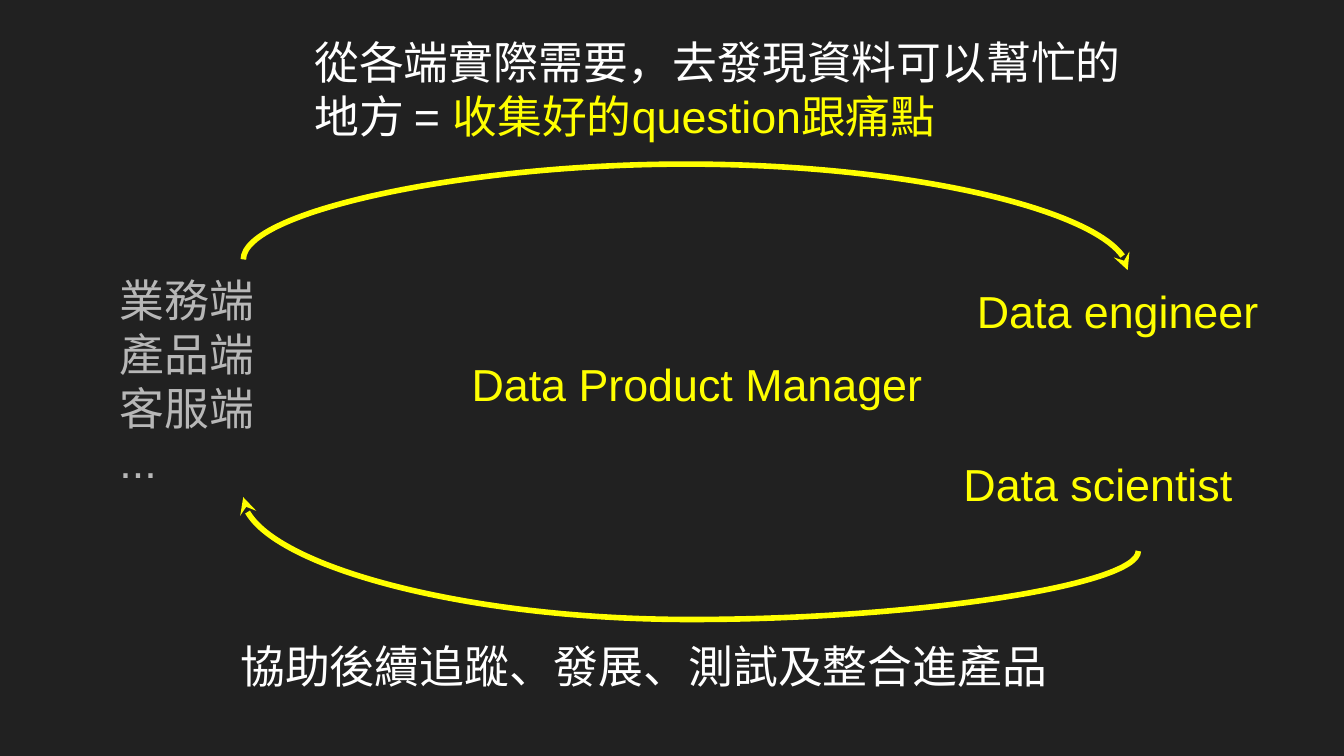
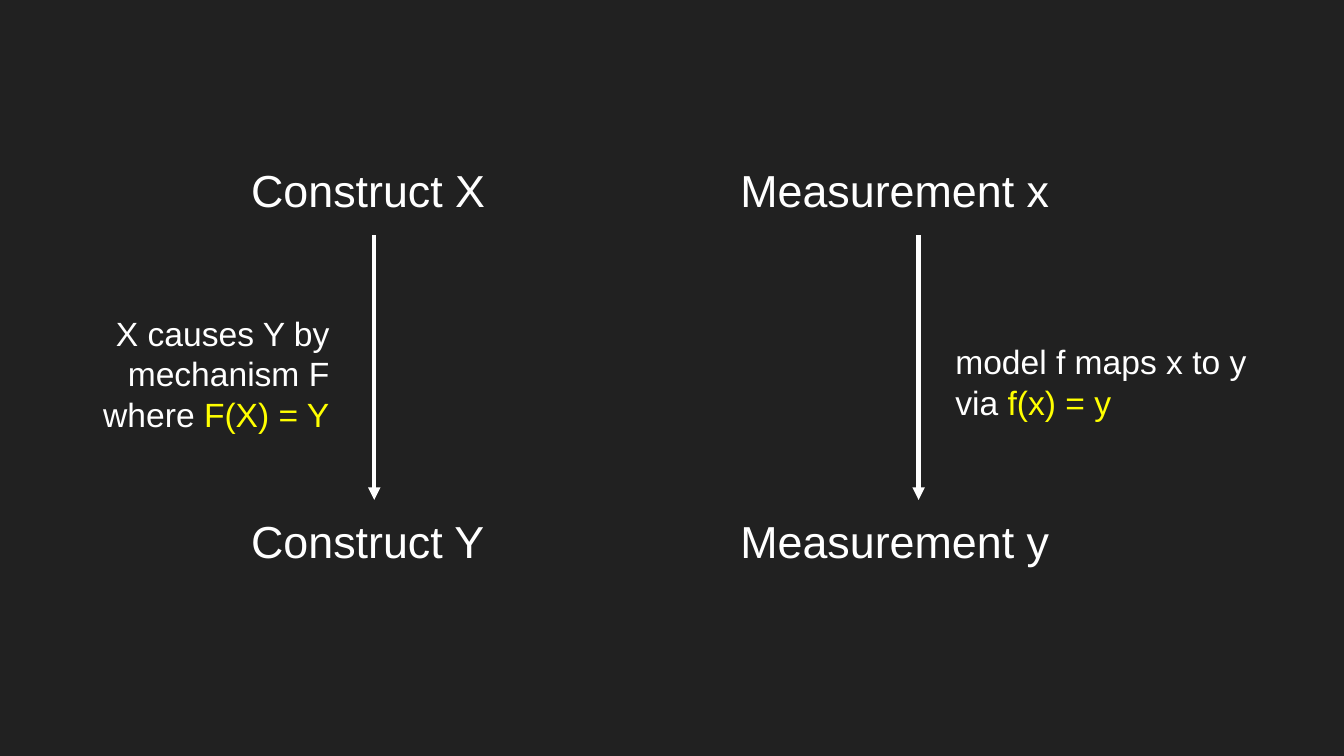
from lxml.etree import SubElement
from pptx import Presentation
from pptx.dml.color import RGBColor
from pptx.enum.shapes import MSO_CONNECTOR as LINE_KIND
from pptx.enum.text import MSO_ANCHOR as ANCHOR, PP_ALIGN as ALIGN
from pptx.oxml.ns import qn
from pptx.util import Pt

PX = 4572  # 200 px to the inch
INSET = 20 * PX
BACKGROUND = RGBColor(0x21, 0x21, 0x21)
YELLOW = RGBColor(0xFF, 0xFF, 0x00)
WHITE = RGBColor(0xFF, 0xFF, 0xFF)
GREY = RGBColor(0xB7, 0xB7, 0xB7)
LARGE, SMALL = Pt(24), Pt(18)


def add_text(page, place, paragraphs, size=LARGE, align=ALIGN.LEFT, anchor=ANCHOR.TOP):
    """Each paragraph is a list of (text, colour) spans."""
    box = page.shapes.add_textbox(*(value * PX for value in place))
    frame = box.text_frame
    frame_format = {"word_wrap": True, "vertical_anchor": anchor,
                    "margin_left": INSET, "margin_top": INSET,
                    "margin_right": INSET, "margin_bottom": INSET}
    for name, value in frame_format.items():
        setattr(frame, name, value)
    for index, spans in enumerate(paragraphs):
        para = frame.add_paragraph() if index else frame.paragraphs[0]
        para.alignment = align
        for text, colour in spans:
            span = para.add_run()
            span.text = text
            for name, value in {"name": "Arial", "size": size}.items():
                setattr(span.font, name, value)
            span.font.color.rgb = colour
    return box


def style_line(connector, colour, width, end_tag, arrow):
    connector.line.color.rgb = colour
    connector.line.width = Pt(width)
    SubElement(connector.line._get_or_add_ln(), qn(end_tag), type=arrow)
    SubElement(connector._element.spPr, qn("a:effectLst"))


deck = Presentation()
deck.slide_width, deck.slide_height = 2000 * PX, 1125 * PX
background = deck.slide_master.background.fill
background.solid()
background.fore_color.rgb = BACKGROUND
blank = deck.slide_layouts[6]

# Slide 1: the cycle between business teams and data teams
page = deck.slides.add_slide(blank)
add_text(page, (1434, 402, 488, 210), [[("Data engineer", YELLOW)]])
add_text(page, (1414, 660, 558, 160), [[("Data scientist", YELLOW)]])
add_text(page, (158, 386, 404, 354),
         [[(team, GREY)] for team in ("業務端", "產品端", "客服端", "...")])

# Curved arrows: left end, right end, level of the bend, arrowhead side
curves = [((362, 386), (1678, 402), 244, "a:tailEnd"),
          ((362, 740), (1694, 820), 922, "a:headEnd")]
for (left, start), (right, end), bend, end_tag in curves:
    # The preset bends sideways, so it is laid out upright and then turned
    middle_x, middle_y = (left + right) // 2, (start + end) // 2
    half_drop, half_span = (end - start) // 2, (right - left) // 2
    curve = page.shapes.add_connector(
        LINE_KIND.CURVE,
        (middle_x + half_drop) * PX, (middle_y - half_span) * PX,
        (middle_x - half_drop) * PX, (middle_y + half_span) * PX)
    properties = curve._element.spPr
    properties.find(qn("a:xfrm")).set("rot", str(270 * 60000))
    guides = properties.find(qn("a:prstGeom")).find(qn("a:avLst"))
    share = round((bend - start) / (end - start) * 100000)
    SubElement(guides, qn("a:gd"), name="adj1", fmla=f"val {share}")
    style_line(curve, YELLOW, 3, end_tag, "stealth")

add_text(page, (448, 32, 1298, 210),
         [[("從各端實際需要，去發現資料可以幫忙的地方 = ", WHITE),
           ("收集好的question跟痛點", YELLOW)]])
add_text(page, (338, 930, 1370, 124),
         [[("協助後續追蹤、發展、測試及整合進產品", WHITE)]])
add_text(page, (666, 414, 742, 314), [[("Data Product Manager", YELLOW)]],
         align=ALIGN.CENTER, anchor=ANCHOR.MIDDLE)

# Slide 2: constructs beside their measurements
page = deck.slides.add_slide(blank)
columns = [(354, 406, "Construct X", "Construct Y"),
           (1082, 570, "Measurement x", "Measurement y")]
for left, width, cause, effect in columns:
    upper = add_text(page, (left, 222, width, 128), [[(cause, WHITE)]])
    lower = add_text(page, (left, 744, width, 128), [[(effect, WHITE)]])
    arrow = page.shapes.add_connector(LINE_KIND.STRAIGHT, 0, 0, 0, 0)
    arrow.begin_connect(upper, 2)
    arrow.end_connect(lower, 0)
    style_line(arrow, WHITE, 2.25, "a:tailEnd", "triangle")

# Notes beside the arrows
add_text(page, (104, 446, 406, 208),
         [[("X causes Y by mechanism F", WHITE)],
          [("where ", WHITE), ("F(X) = Y", YELLOW)]], SMALL, ALIGN.RIGHT)
add_text(page, (1402, 488, 516, 156),
         [[("model f maps x to y", WHITE)],
          [("via ", WHITE), ("f(x) = y", YELLOW)]], SMALL)

deck.save("out.pptx")
